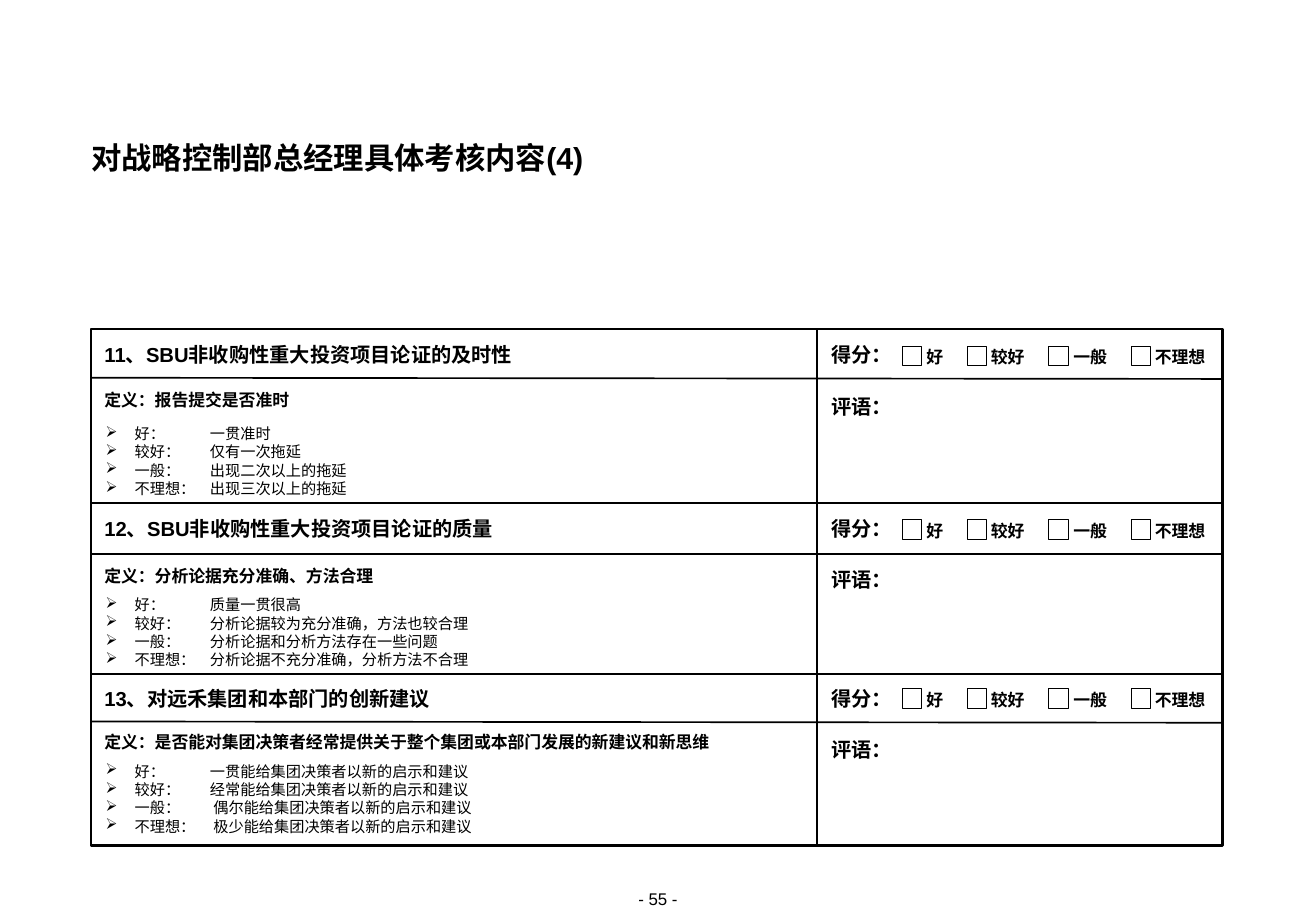
from dataclasses import dataclass

from lxml import etree
from pptx import Presentation
from pptx.dml.color import RGBColor
from pptx.enum.shapes import MSO_CONNECTOR, MSO_SHAPE
from pptx.enum.text import MSO_ANCHOR, PP_ALIGN
from pptx.oxml.ns import qn
from pptx.shapes.shapetree import GroupShapes, SlideShapes
from pptx.text.text import _Paragraph
from pptx.util import Inches, Pt

BLACK = RGBColor(0x00, 0x00, 0x00)
WHITE = RGBColor(0xFF, 0xFF, 0xFF)
FONT = "Arial"
LEFT = PP_ALIGN.LEFT
CENTER = PP_ALIGN.CENTER
TOP = MSO_ANCHOR.TOP
MIDDLE = MSO_ANCHOR.MIDDLE
STRAIGHT = MSO_CONNECTOR.STRAIGHT
RECTANGLE = MSO_SHAPE.RECTANGLE

FORM_LEFT, FORM_TOP, FORM_WIDTH, FORM_HEIGHT = 0.75, 2.71, 9.32, 4.25
FORM_RIGHT = 10.08
FORM_BOTTOM = FORM_TOP + FORM_HEIGHT
DIVIDER_X = 6.73
CRITERIA_X = 0.86
SCORE_X = 6.85
CHECKBOX_SIZE = 0.16
ROW_RULES = [(3.11, 3.12), (4.14, 4.14), (4.56, 4.56), (5.55, 5.55), (5.94, 5.95)]


@dataclass(frozen=True)
class Rating:
    label: str
    checkbox_x: float
    label_x: float
    label_width: float


@dataclass(frozen=True)
class Criterion:
    heading: str
    heading_y: float
    ratings_y: float
    definition: str
    definition_y: float
    levels_y: float
    levels: tuple[str, ...]


RATINGS = [
    Rating("好", 7.43, 7.63, 0.14),
    Rating("较好", 7.97, 8.16, 0.28),
    Rating("一般", 8.64, 8.84, 0.28),
    Rating("不理想", 9.32, 9.51, 0.42),
]

CRITERIA = [
    Criterion(
        "11、SBU非收购性重大投资项目论证的及时性", 2.82, 2.83,
        "定义：报告提交是否准时", 3.21, 3.51,
        ("一贯准时", "仅有一次拖延", "出现二次以上的拖延", "出现三次以上的拖延"),
    ),
    Criterion(
        "12、SBU非收购性重大投资项目论证的质量", 4.25, 4.26,
        "定义：分析论据充分准确、方法合理", 4.66, 4.92,
        (
            "质量一贯很高",
            "分析论据较为充分准确，方法也较合理",
            "分析论据和分析方法存在一些问题",
            "分析论据不充分准确，分析方法不合理",
        ),
    ),
    Criterion(
        "13、对远禾集团和本部门的创新建议", 5.65, 5.65,
        "定义：是否能对集团决策者经常提供关于整个集团或本部门发展的新建议和新思维",
        6.02, 6.29,
        (
            "一贯能给集团决策者以新的启示和建议",
            "经常能给集团决策者以新的启示和建议",
            " 偶尔能给集团决策者以新的启示和建议",
            " 极少能给集团决策者以新的启示和建议",
        ),
    ),
]


def add_bullet(paragraph: _Paragraph) -> None:
    properties = paragraph._p.get_or_add_pPr()
    properties.set("marL", str(Inches(0.25)))
    properties.set("indent", str(Inches(-0.24)))
    color = etree.SubElement(properties, qn("a:buClr"))
    etree.SubElement(color, qn("a:srgbClr"), val=str(BLACK))
    etree.SubElement(properties, qn("a:buChar"), char="➢")
    tabs = etree.SubElement(properties, qn("a:tabLst"))
    etree.SubElement(tabs, qn("a:tab"), pos=str(Inches(0.87)), algn="l")


def add_text(
    shapes: SlideShapes | GroupShapes, text: str,
    x: float, y: float, width: float, height: float, *,
    size: float, bold: bool = True, align: PP_ALIGN = LEFT,
    anchor: MSO_ANCHOR = TOP, wrap: bool = True, bullets: bool = False,
    line_spacing: float | Pt | None = None, space_before: float = 0,
) -> None:
    box = shapes.add_textbox(Inches(x), Inches(y), Inches(width), Inches(height))
    frame = box.text_frame
    frame.margin_left = frame.margin_right = 0
    frame.margin_top = frame.margin_bottom = 0
    frame.word_wrap = wrap
    frame.vertical_anchor = anchor
    for index, line in enumerate(text.split("\n")):
        paragraph = frame.add_paragraph() if index else frame.paragraphs[0]
        if bullets:
            add_bullet(paragraph)
        paragraph.alignment = align
        paragraph.line_spacing = line_spacing
        if index:
            paragraph.space_before = Pt(space_before)
        run = paragraph.add_run()
        run.text = line
        run.font.name = FONT
        run.font.size = Pt(size)
        run.font.bold = bold
        run.font.color.rgb = BLACK


def add_rule(
    shapes: SlideShapes, x1: float, y1: float, x2: float, y2: float, weight: float
) -> None:
    rule = shapes.add_connector(STRAIGHT, Inches(x1), Inches(y1), Inches(x2), Inches(y2))
    rule.line.color.rgb = BLACK
    rule.line.width = Pt(weight)
    etree.SubElement(rule._element.spPr, qn("a:effectLst"))


def add_box(
    shapes: SlideShapes | GroupShapes, x: float, y: float,
    width: float, height: float, weight: float, fill: RGBColor | None = None,
) -> None:
    box = shapes.add_shape(RECTANGLE, Inches(x), Inches(y), Inches(width), Inches(height))
    box.shadow.inherit = False
    if fill is None:
        box.fill.background()
    else:
        box.fill.solid()
        box.fill.fore_color.rgb = fill
    box.line.color.rgb = BLACK
    box.line.width = Pt(weight)


def add_ratings(shapes: SlideShapes, y: float) -> None:
    scale = shapes.add_group_shape().shapes
    for rating in RATINGS:
        add_box(scale, rating.checkbox_x, y + 0.02, CHECKBOX_SIZE, CHECKBOX_SIZE, 0.5, WHITE)
        add_text(scale, rating.label, rating.label_x, y, rating.label_width, 0.19,
                 size=10, align=CENTER, anchor=MIDDLE, wrap=False, line_spacing=Pt(14))


def add_criterion(shapes: SlideShapes, criterion: Criterion) -> None:
    levels = "\n".join(
        f"{rating.label}：\t{meaning}"
        for rating, meaning in zip(RATINGS, criterion.levels)
    )
    add_text(shapes, criterion.heading, CRITERIA_X, criterion.heading_y, 5.72, 0.2, size=12)
    add_text(shapes, criterion.definition, CRITERIA_X, criterion.definition_y, 5.74, 0.17, size=10)
    add_text(shapes, levels, CRITERIA_X, criterion.levels_y, 5.76, 0.59,
             size=9, bold=False, bullets=True, line_spacing=0.9, space_before=1.1)
    add_text(shapes, "得分：", SCORE_X, criterion.heading_y, 0.55, 0.2, size=12)
    add_text(shapes, "评语：", SCORE_X, criterion.heading_y + 0.43, 0.5, 0.19,
             size=12, align=CENTER, anchor=MIDDLE, wrap=False, line_spacing=Pt(14))
    add_ratings(shapes, criterion.ratings_y)


def main() -> None:
    presentation = Presentation()
    presentation.slide_width = Inches(10.84)
    presentation.slide_height = Inches(7.5)
    shapes = presentation.slides.add_slide(presentation.slide_layouts[6]).shapes

    add_text(shapes, "对战略控制部总经理具体考核内容(4)", 0.75, 1.17, 9.33, 0.28,
             size=18, line_spacing=Pt(20))
    add_box(shapes, FORM_LEFT, FORM_TOP, FORM_WIDTH, FORM_HEIGHT, 1.5)
    add_rule(shapes, DIVIDER_X, FORM_TOP, DIVIDER_X, FORM_BOTTOM, 1.5)
    for start_y, end_y in ROW_RULES:
        add_rule(shapes, FORM_LEFT, start_y, FORM_RIGHT, end_y, 1)
    for criterion in CRITERIA:
        add_criterion(shapes, criterion)
    add_text(shapes, "- 55 -", 4.85, 7.32, 1.14, 0.17, size=10, bold=False, align=CENTER)

    presentation.save("out.pptx")


if __name__ == "__main__":
    main()
